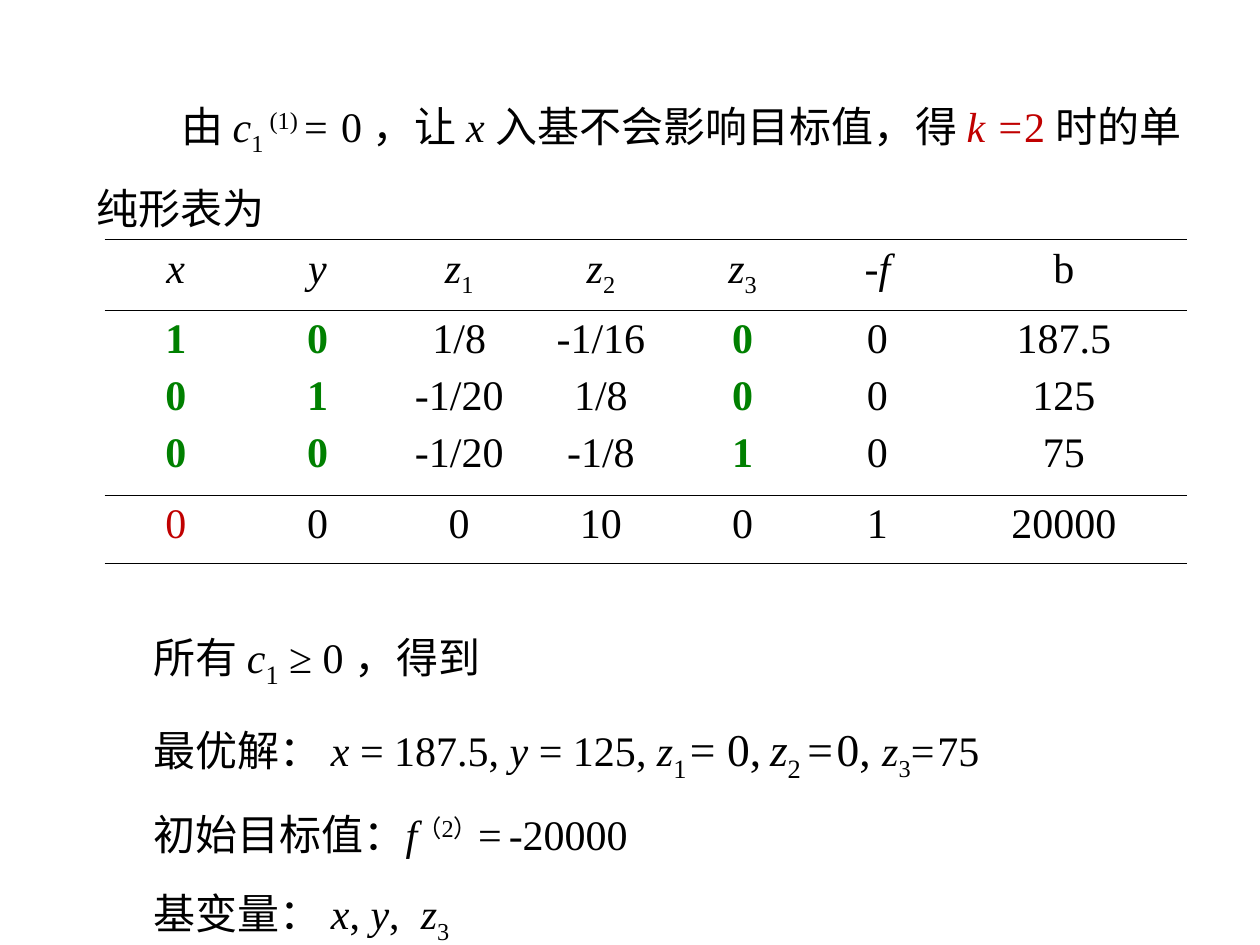
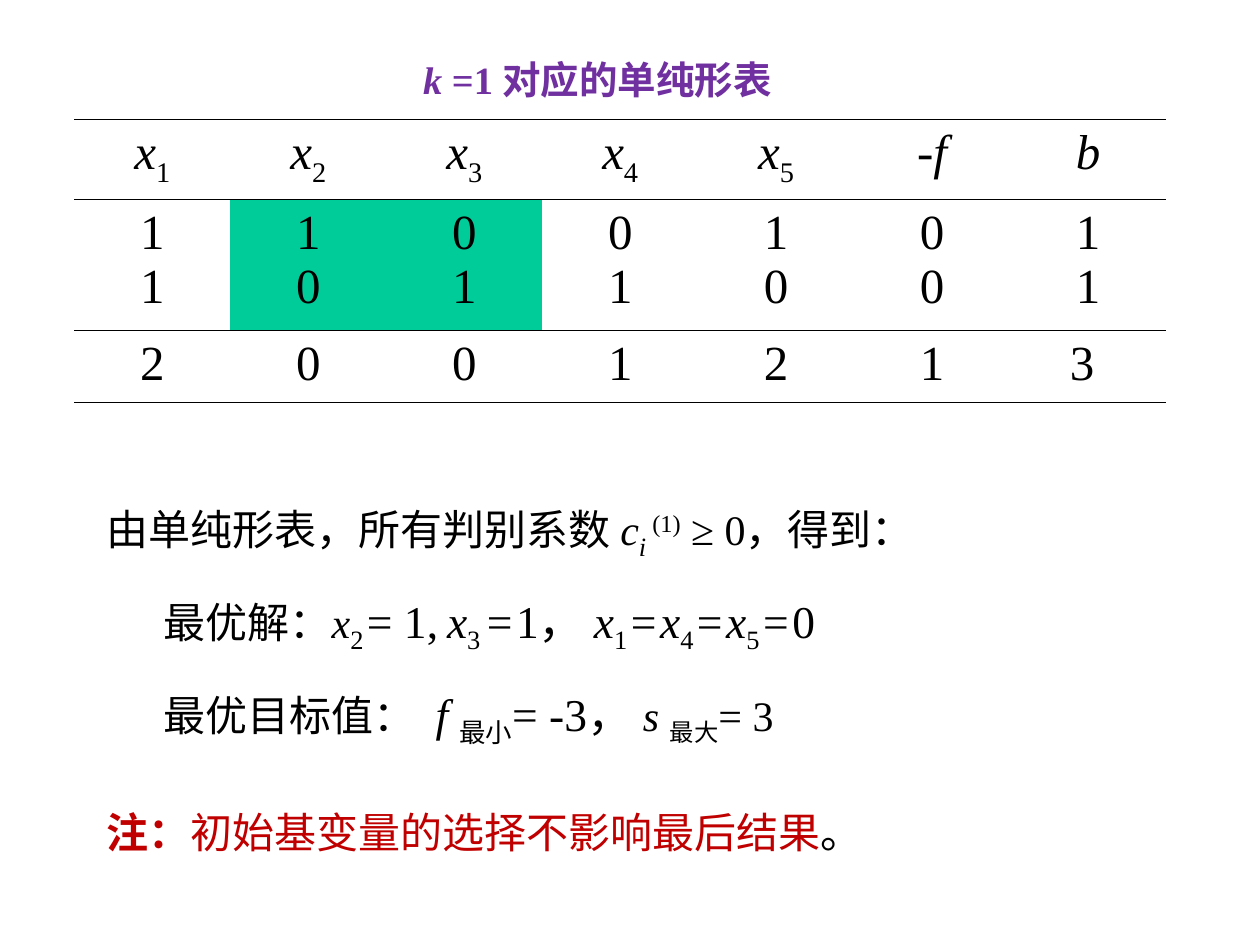
"""Build two slides of simplex tables with their optimal solutions."""
from lxml import etree
from pptx import Presentation
from pptx.dml.color import RGBColor
from pptx.enum.text import MSO_AUTO_SIZE, PP_ALIGN
from pptx.oxml.ns import qn
from pptx.util import Inches, Pt

LEFT, CENTER, JUSTIFY = PP_ALIGN.LEFT, PP_ALIGN.CENTER, PP_ALIGN.JUSTIFY
FIT_SHAPE = MSO_AUTO_SIZE.SHAPE_TO_FIT_TEXT

THEME = {
    "font": "Times New Roman",
    "black": "000000", "red": "C00000", "green": "008000",
    "purple": "7030A0", "highlight": "00CC99",
    "body": 24, "large": 26, "title": 22, "big_table": 28,
    "tight": 8, "narrow": 7, "gap": 16, "wide_gap": 20,
    "rule": 0.45, "line_spacing": 1.5, "wide_spacing": 600,
}
SLIDE_WIDTH, SLIDE_HEIGHT = Inches(10), Inches(7.5)
COLOURS = ("red", "green", "purple")
SIZES = ("large", "title", "big_table", "tight", "narrow", "gap", "wide_gap")
BASELINES = {"sub": -25000, "sup": 30000}


def var(name, index="", *flags):
    """Give the runs of an italic variable with an optional subscript."""
    return [(name, "italic", *flags)] + ([(index, "sub", *flags)] if index else [])


def column(*values, flags=()):
    """Give one table cell that stacks values as lines."""
    return [[(value, *flags)] for value in values]


def basis(*values):
    """Give one table cell of a basis column."""
    return column(*values, flags=("bold", "green"))


EQUALS = [(" ", "tight"), ("=", "large")]
INDENT = 0.45
WIDE_SPACE = (" ", "wide")

SLIDES = [
    {
        "texts": [
            {"at": (6.7, 6.93, 88.2, 18.53), "align": LEFT, "lines": [
                {"indent": 0.67, "runs": [
                    ("由 ",), ("c", "italic"), ("1 ", "sub"), ("(1) ", "sup"), ("= ",),
                    (" ", "narrow"), ("0 ，让 ",), ("x ", "italic"),
                    ("入基不会影响目标值，得 ",), ("k =", "italic", "red"),
                    ("2 ", "red"), ("时的单纯形表为",)]},
            ]},
            {"at": (6.7, 62.53, 88.2, 38.13), "align": JUSTIFY, "lines": [
                {"indent": INDENT, "runs": [
                    ("所有 ",), ("c", "italic"), ("1", "sub", "large"), (" ≥ 0 ，得到",)]},
                {"indent": INDENT, "runs": [
                    ("最优解： ",), ("x ", "italic"), ("= 187.5, ",),
                    ("y ", "italic"), ("= 125, ",),
                    ("z", "italic"), ("1", "sub", "large"), *EQUALS, (" 0,", "large"),
                    (" ", "wide_gap"), ("z", "italic", "large"), ("2 ", "sub", "large"),
                    ("=", "large"), (" ", "tight"), ("0, ", "large"),
                    *var("z", "3"), ("=",), (" ", "narrow"), ("75",)]},
                {"indent": INDENT, "runs": [
                    ("初始目标值：",), ("f", "italic"), ("（2）", "sup"), ("=",),
                    (" ", "gap"), ("-20000",)]},
                {"indent": INDENT, "runs": [
                    ("基变量： ",), ("x", "italic"), (", ",), ("y", "italic"),
                    (",",), WIDE_SPACE, *var("z", "3")]},
            ]},
        ],
        "table": {
            "at": (8.3, 25.33), "line_gap": 6, "size": "body",
            "columns": [11.3, 11.2, 11.3, 11.2, 11.3, 10.1, 19.5],
            "rows": [7.47, 19.6, 7.2],
            "filled": (),
            "cells": [
                [[var("x")], [var("y")], [var("z", "1")], [var("z", "2")],
                 [var("z", "3")], [var("-f")], column("b")],
                [basis("1", "0", "0"), basis("0", "1", "0"),
                 column("1/8", "-1/20", "-1/20"), column("-1/16", "1/8", "-1/8"),
                 basis("0", "0", "1"), column("0", "0", "0"),
                 column("187.5", "125", "75")],
                [column("0", flags=("red",))]
                + [column(value) for value in ("0", "0", "10", "0", "1", "20000")],
            ],
        },
    },
    {
        "texts": [
            {"at": (32.6, 5.33, 30.4, 6.27), "align": LEFT, "wrap": False, "spacing": 1.0,
             "lines": [{"runs": [
                 ("k ", "italic", "bold", "purple", "title"),
                 ("=1 对应的单纯形表", "bold", "purple", "title")]}]},
            {"at": (7.5, 48.93, 81.9, 50.67), "align": JUSTIFY, "lines": [
                {"runs": [
                    ("由单纯形表，所有判别系数 ",), ("c", "italic"),
                    ("i", "italic", "sub", "large"), (" (1)", "sup"), (" ≥ 0，得到：",)]},
                {"indent": INDENT, "runs": [
                    ("最优解：",), ("x", "italic"), ("2", "sub", "large"),
                    *EQUALS, (" 1,", "large"), (" ", "wide_gap"),
                    ("x", "italic", "large"), ("3 ", "sub", "large"), ("=", "large"),
                    (" ", "tight"), ("1，", "large"), (" ",),
                    *[run for index in "145"
                      for run in [*var("x", index, "large"), *EQUALS, (" ", "tight")]],
                    ("0", "large")]},
                {"indent": INDENT, "runs": [
                    ("最优目标值：",), WIDE_SPACE, ("f ", "italic", "large"),
                    ("最小", "sub", "large"), ("= -3， ", "large"), ("s ", "italic"),
                    ("最大", "sub"), ("= 3",)]},
                {"before": 19, "runs": [
                    ("注：", "bold", "red"),
                    ("初始基变量的选择不影响最后结果", "red"), ("。",)]},
            ]},
        ],
        "table": {
            "at": (5.9, 12.67), "line_gap": 0, "size": "big_table",
            "columns": [12.38] * 7,
            "rows": [8.4, 13.87, 7.6],
            "filled": ((1, 1), (1, 2)),
            "cells": [
                [[var("x", index)] for index in "12345"] + [[var("-f")], [var("b")]],
                [column(*pair) for pair in ("11", "10", "01", "01", "10", "00", "11")],
                [column(value) for value in ("2", "0", "0", "1", "2", "1", "3 ")],
            ],
        },
    },
]


def across(percent):
    """Turn a share of the slide width into a length."""
    return int(SLIDE_WIDTH * percent / 100)


def down(percent):
    """Turn a share of the slide height into a length."""
    return int(SLIDE_HEIGHT * percent / 100)


def add_run(paragraph, text, flags, default_size):
    """Add a run styled by its flags."""
    run = paragraph.add_run()
    run.text = text
    size = next((flag for flag in flags if flag in SIZES), default_size)
    colour = next((flag for flag in flags if flag in COLOURS), "black")
    formats = {"name": THEME["font"], "size": Pt(THEME[size]),
               "bold": "bold" in flags, "italic": "italic" in flags}
    for name, value in formats.items():
        setattr(run.font, name, value)
    run.font.color.rgb = RGBColor.from_string(THEME[colour])
    properties = run._r.get_or_add_rPr()
    properties.set("lang", "zh-CN")
    for flag in flags:
        if flag in BASELINES:
            properties.set("baseline", str(BASELINES[flag]))
    if "wide" in flags:
        properties.set("spc", str(THEME["wide_spacing"]))


def write_lines(frame, lines, align, spacing, size):
    """Fill a text frame with one paragraph a line."""
    for number, line in enumerate(lines):
        paragraph = frame.add_paragraph() if number else frame.paragraphs[0]
        formats = {"alignment": align, "line_spacing": spacing,
                   "space_before": Pt(line.get("before", 0) if number else 0)}
        for name, value in formats.items():
            setattr(paragraph, name, value)
        paragraph._p.get_or_add_pPr().set("indent", str(Inches(line.get("indent", 0))))
        for text, *flags in line["runs"]:
            add_run(paragraph, text, flags, size)


def add_text(slide, text):
    """Add a text box."""
    left, top, width, height = text["at"]
    box = slide.shapes.add_textbox(across(left), down(top), across(width), down(height))
    box.text_frame.word_wrap = text.get("wrap", True)
    box.text_frame.auto_size = FIT_SHAPE
    write_lines(box.text_frame, text["lines"], text["align"],
                text.get("spacing", THEME["line_spacing"]), "body")


def rule_cell(cell):
    """Draw lines above and below a cell and none at its sides."""
    properties = cell._tc.get_or_add_tcPr()
    for position, side in enumerate(("lnL", "lnR", "lnT", "lnB")):
        line = etree.Element(qn(f"a:{side}"), w=str(Pt(THEME["rule"])))
        if side in ("lnT", "lnB"):
            fill = etree.SubElement(line, qn("a:solidFill"))
            etree.SubElement(fill, qn("a:srgbClr"), val=THEME["black"])
        else:
            etree.SubElement(line, qn("a:noFill"))
        properties.insert(position, line)


def add_table(slide, content):
    """Add a simplex table with horizontal rules."""
    left, top = content["at"]
    widths, heights = content["columns"], content["rows"]
    table = slide.shapes.add_table(
        len(heights), len(widths), across(left), down(top),
        across(sum(widths)), down(sum(heights))).table
    table.first_row = table.horz_banding = False
    for table_column, width in zip(table.columns, widths):
        table_column.width = across(width)
    for row, height in zip(table.rows, heights):
        row.height = down(height)
    for row_number, row in enumerate(content["cells"]):
        for column_number, stack in enumerate(row):
            cell = table.cell(row_number, column_number)
            if (row_number, column_number) in content["filled"]:
                cell.fill.solid()
                cell.fill.fore_color.rgb = RGBColor.from_string(THEME["highlight"])
            else:
                cell.fill.background()
            rule_cell(cell)
            lines = [{"runs": runs, "before": content["line_gap"]} for runs in stack]
            write_lines(cell.text_frame, lines, CENTER, 1.0, content["size"])


def main():
    """Build and save the presentation."""
    presentation = Presentation()
    presentation.slide_width, presentation.slide_height = SLIDE_WIDTH, SLIDE_HEIGHT
    for content in SLIDES:
        slide = presentation.slides.add_slide(presentation.slide_layouts[6])
        for text in content["texts"]:
            add_text(slide, text)
        add_table(slide, content["table"])
    presentation.save("out.pptx")


if __name__ == "__main__":
    main()
